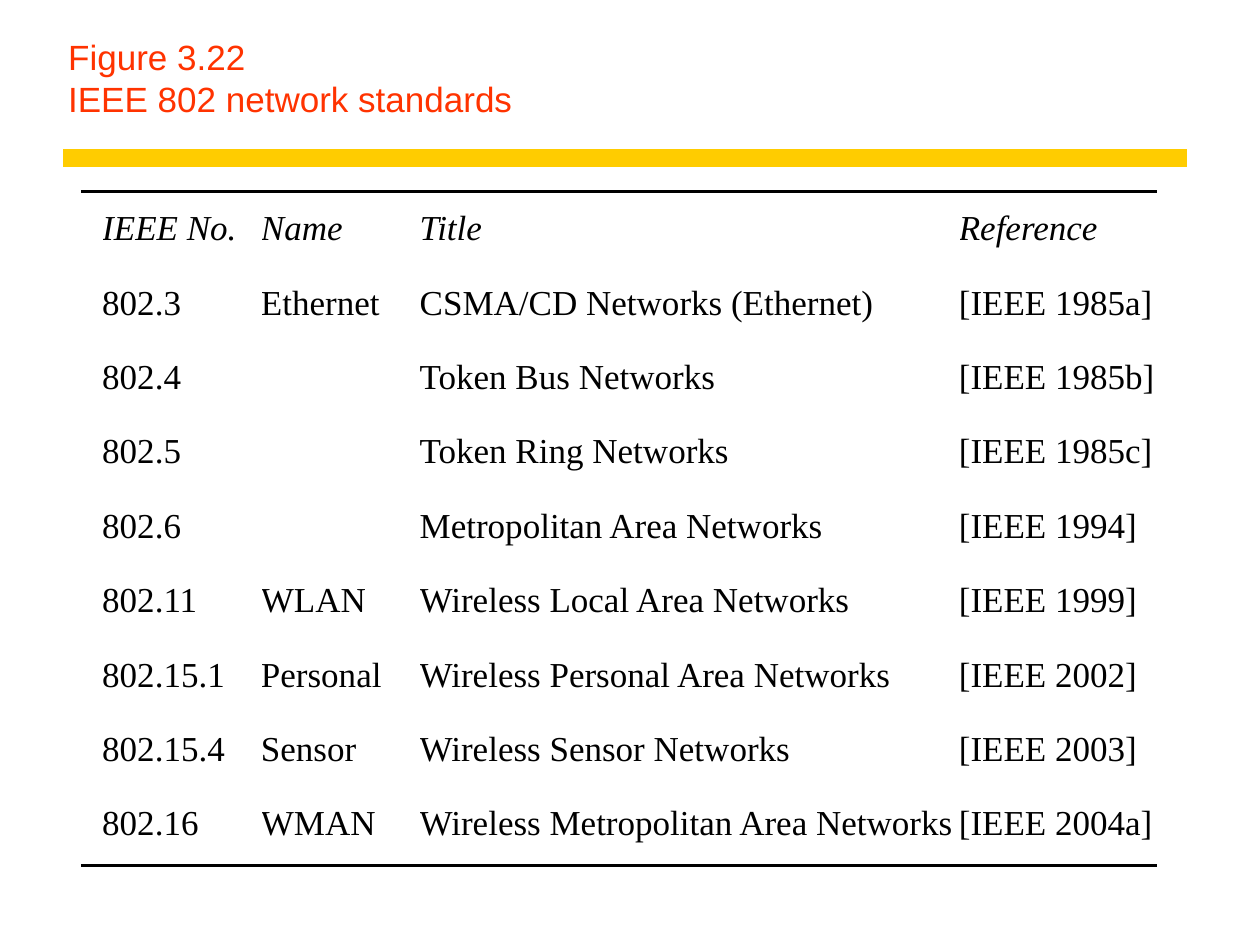
from dataclasses import dataclass
from lxml import etree
from pptx import Presentation
from pptx import util as u
from pptx.dml.color import RGBColor
from pptx.enum import shapes, text
from pptx.oxml.ns import qn


@dataclass(frozen=True)
class Theme:
    ink: str = "000000"
    head: str = "FF3300"
    bar: str = "FFCC00"
    sans: str = "Arial"
    serif: str = "Times New Roman"
    size: float = 20
    thick: float = 10
    thin: float = 1.62


class Page:
    """Holds the theme and the slide being drawn; lengths are in cm."""

    def __init__(self, slide, theme):
        self.slide = slide
        self.theme = theme

    def run(self, para, words, face, color, italic=False):
        run = para.add_run()
        run.text = words
        font = run.font
        font.name = face
        font.size = u.Pt(self.theme.size)
        font.italic = italic
        font.color.rgb = RGBColor.from_string(color)

    def title(self, lines, left, top, width, height):
        box = self.slide.shapes.title
        box.left, box.top = u.Cm(left), u.Cm(top)
        box.width, box.height = u.Cm(width), u.Cm(height)
        frame = box.text_frame
        frame.word_wrap = True
        frame.auto_size = text.MSO_AUTO_SIZE.NONE
        frame.vertical_anchor = text.MSO_ANCHOR.BOTTOM
        para = frame.paragraphs[0]
        para.alignment = text.PP_ALIGN.LEFT
        for n, line in enumerate(lines):
            if n:
                para.add_line_break()
            self.run(para, line, self.theme.sans, self.theme.head)

    def rule(self, left, right, y, color, weight):
        line = self.slide.shapes.add_connector(
            shapes.MSO_CONNECTOR.STRAIGHT,
            u.Cm(left), u.Cm(y), u.Cm(right), u.Cm(y))
        line.line.color.rgb = RGBColor.from_string(color)
        line.line.width = u.Pt(weight)
        etree.SubElement(line._element.spPr, qn("a:effectLst"))

    def table(self, rows, left, top, widths, pitch):
        """Draw an unfilled table whose first row is italic."""
        grid = self.slide.shapes.add_table(
            len(rows), len(widths), u.Cm(left), u.Cm(top),
            u.Cm(sum(widths)), u.Cm(pitch * len(rows))).table
        grid.first_row = grid.horz_banding = False
        for col, width in zip(grid.columns, widths):
            col.width = u.Cm(width)
        for r, row in enumerate(rows):
            grid.rows[r].height = u.Cm(pitch)
            for c, words in enumerate(row):
                self.cell(grid.cell(r, c), words, r == 0)

    def cell(self, cell, words, italic):
        cell.fill.background()
        cell.margin_left = cell.margin_right = 0
        cell.margin_top = cell.margin_bottom = 0
        cell.vertical_anchor = text.MSO_ANCHOR.MIDDLE
        para = cell.text_frame.paragraphs[0]
        if words:
            self.run(para, words, self.theme.serif, self.theme.ink, italic)
        else:
            para.font.size = u.Pt(self.theme.size)


ROWS = [
    ("IEEE No.", "Name", "Title", "Reference"),
    ("802.3", "Ethernet", "CSMA/CD Networks (Ethernet)", "[IEEE 1985a]"),
    ("802.4", "", "Token Bus Networks", "[IEEE 1985b]"),
    ("802.5", "", "Token Ring Networks", "[IEEE 1985c]"),
    ("802.6", "", "Metropolitan Area Networks", "[IEEE 1994]"),
    ("802.11", "WLAN", "Wireless Local Area Networks", "[IEEE 1999]"),
    ("802.15.1", "Personal", "Wireless Personal Area Networks",
     "[IEEE 2002]"),
    ("802.15.4", "Sensor", "Wireless Sensor Networks", "[IEEE 2003]"),
    ("802.16", "WMAN", "Wireless Metropolitan Area Networks",
     "[IEEE 2004a]"),
]


def main():
    deck = Presentation()
    deck.slide_width, deck.slide_height = u.Cm(25.4), u.Cm(19.05)
    theme = Theme()
    page = Page(deck.slides.add_slide(deck.slide_layouts[5]), theme)
    page.rule(1.27, 23.93, 3.18, theme.bar, theme.thick)
    page.title(("Figure 3.22", "IEEE 802 network standards"),
               1.12, 0.64, 22.78, 1.9)
    page.table(ROWS, 2.06, 3.86, (3.2, 3.2, 10.87, 4.1), 1.5)
    for y in (3.86, 17.45):
        page.rule(1.63, 23.32, y, theme.ink, theme.thin)
    deck.save("out.pptx")


if __name__ == "__main__":
    main()
